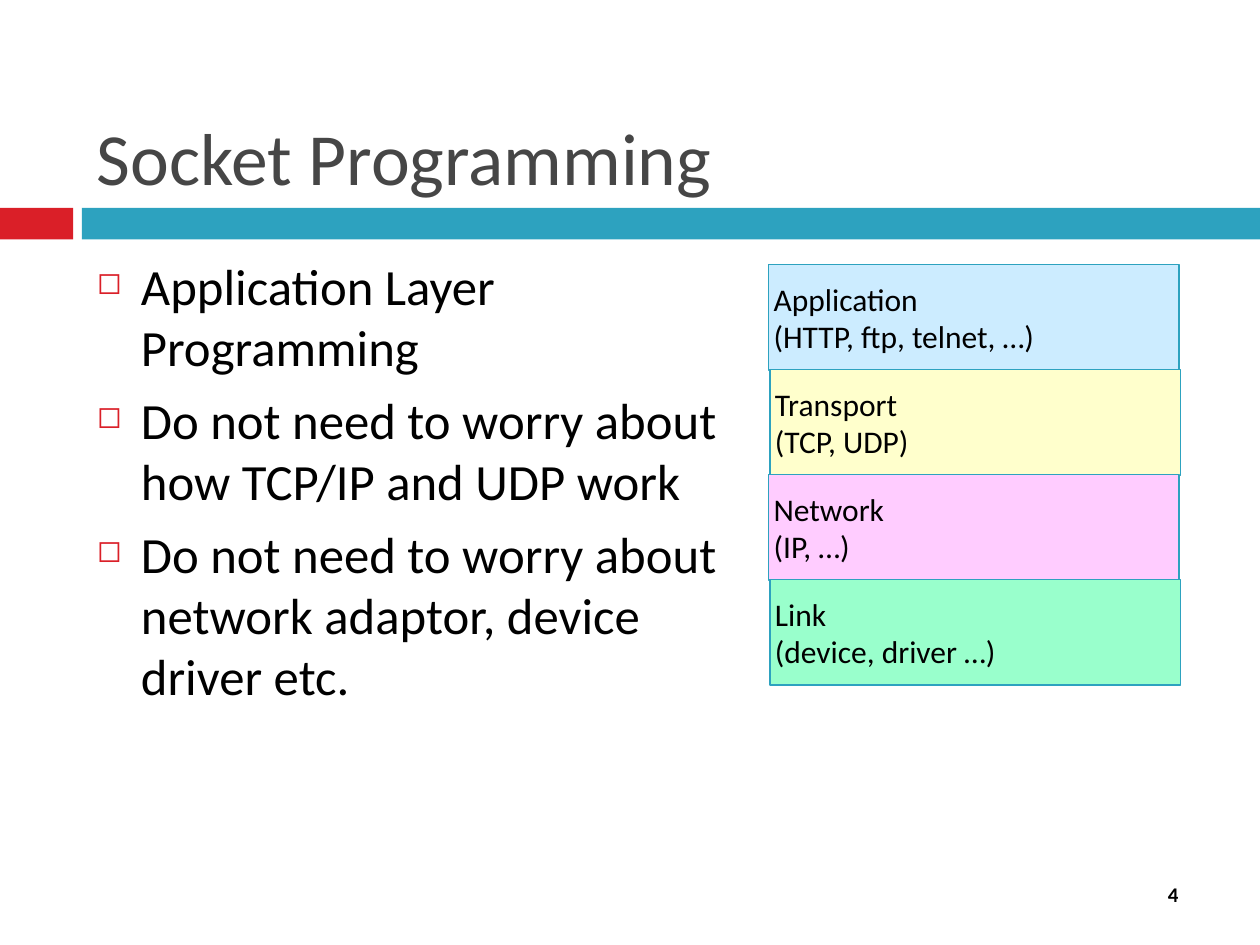
from lxml import etree
from pptx import Presentation
from pptx.dml.color import RGBColor
from pptx.enum.shapes import MSO_SHAPE as Shape
from pptx.enum.text import MSO_ANCHOR as Anchor, PP_ALIGN as Align
from pptx.oxml.ns import qn
from pptx.util import Inches, Pt

RED, TEAL, GREY, BLACK = "DA1F28", "2DA2BF", "464646", "000000"


def color(value):
    return RGBColor.from_string(value)


def assign(target, values):
    for name, value in values.items():
        setattr(target, name, value)


class Deck:
    font = "Calibri"

    def __init__(self):
        self.show = Presentation()
        assign(self.show, {"slide_width": Inches(10), "slide_height": Inches(7.5)})
        self.slide = self.show.slides.add_slide(self.show.slide_layouts[6])

    def fill_text(self, shape, lines, size, ink=BLACK, bold=False, frame=None, layout=None):
        text = shape.text_frame
        assign(text, {"word_wrap": True, **(frame or {})})
        for index, line in enumerate(lines):
            paragraph = text.paragraphs[0] if index == 0 else text.add_paragraph()
            assign(paragraph, {"alignment": Align.LEFT, **(layout or {})})
            run = paragraph.add_run()
            run.text = line
            assign(run.font, {"name": self.font, "size": Pt(size), "bold": bold})
            run.font.color.rgb = color(ink)
        return text

    def text(self, box, lines, size, **style):
        shape = self.slide.shapes.add_textbox(*map(Inches, box))
        return self.fill_text(shape, lines, size, **style)

    def rect(self, box, fill, line=None):
        shape = self.slide.shapes.add_shape(Shape.RECTANGLE, *map(Inches, box))
        shape.shadow.inherit = False
        shape.fill.solid()
        shape.fill.fore_color.rgb = color(fill)
        if line:
            shape.line.color.rgb = color(line)
            shape.line.width = Pt(1)
        else:
            shape.line.fill.background()
        return shape

    def bullets(self, box, lines, size):
        text = self.text(box, lines, size, layout={"space_before": Pt(7)})
        for paragraph in text.paragraphs:
            props = paragraph._p.get_or_add_pPr()
            props.set("marL", str(Inches(0.35)))
            props.set("indent", str(-Inches(0.35)))
            tint = etree.SubElement(props, qn("a:buClr"))
            etree.SubElement(tint, qn("a:srgbClr"), val=RED)
            etree.SubElement(props, qn("a:buSzPct"), val="60000")
            etree.SubElement(props, qn("a:buChar"), char="\u25fb")


deck = Deck()
deck.rect((0, 1.65, 0.58, 0.25), RED)
deck.rect((0.65, 1.65, 9.35, 0.25), TEAL)
deck.text((9.02, 6.98, 0.58, 0.27), ["4"], 11.9, bold=True,
          frame={"vertical_anchor": Anchor.MIDDLE},
          layout={"alignment": Align.CENTER, "line_spacing": 0.8})
deck.text((0.67, 0.17, 8.92, 1.47), ["Socket Programming"], 42, ink=GREY,
          frame={"vertical_anchor": Anchor.BOTTOM})
deck.bullets((0.67, 1.97, 5.28, 4.78), [
    "Application Layer Programming",
    "Do not need to worry about how TCP/IP and UDP work",
    "Do not need to worry about network adaptor, device driver etc.",
], 29)

layers = [
    ("Application", "(HTTP, ftp, telnet, …)", "CCECFF"),
    ("Transport", "(TCP, UDP)", "FFFFCC"),
    ("Network", "(IP, …)", "FFCCFF"),
    ("Link", "(device, driver …)", "99FFCC"),
]
layer_frame = {"vertical_anchor": Anchor.MIDDLE, "margin_left": Inches(0.04),
               "margin_top": 0, "margin_right": 0, "margin_bottom": 0}
layer_height, layer_pitch = 0.84, 2.5 / 3
for level, (layer, protocols, fill) in enumerate(layers):
    box = (6.1 + 0.01 * (level % 2), 2.1 + level * layer_pitch, 3.26, layer_height)
    deck.fill_text(deck.rect(box, fill, TEAL), [layer, protocols], 18, frame=layer_frame)

deck.show.save("out.pptx")
